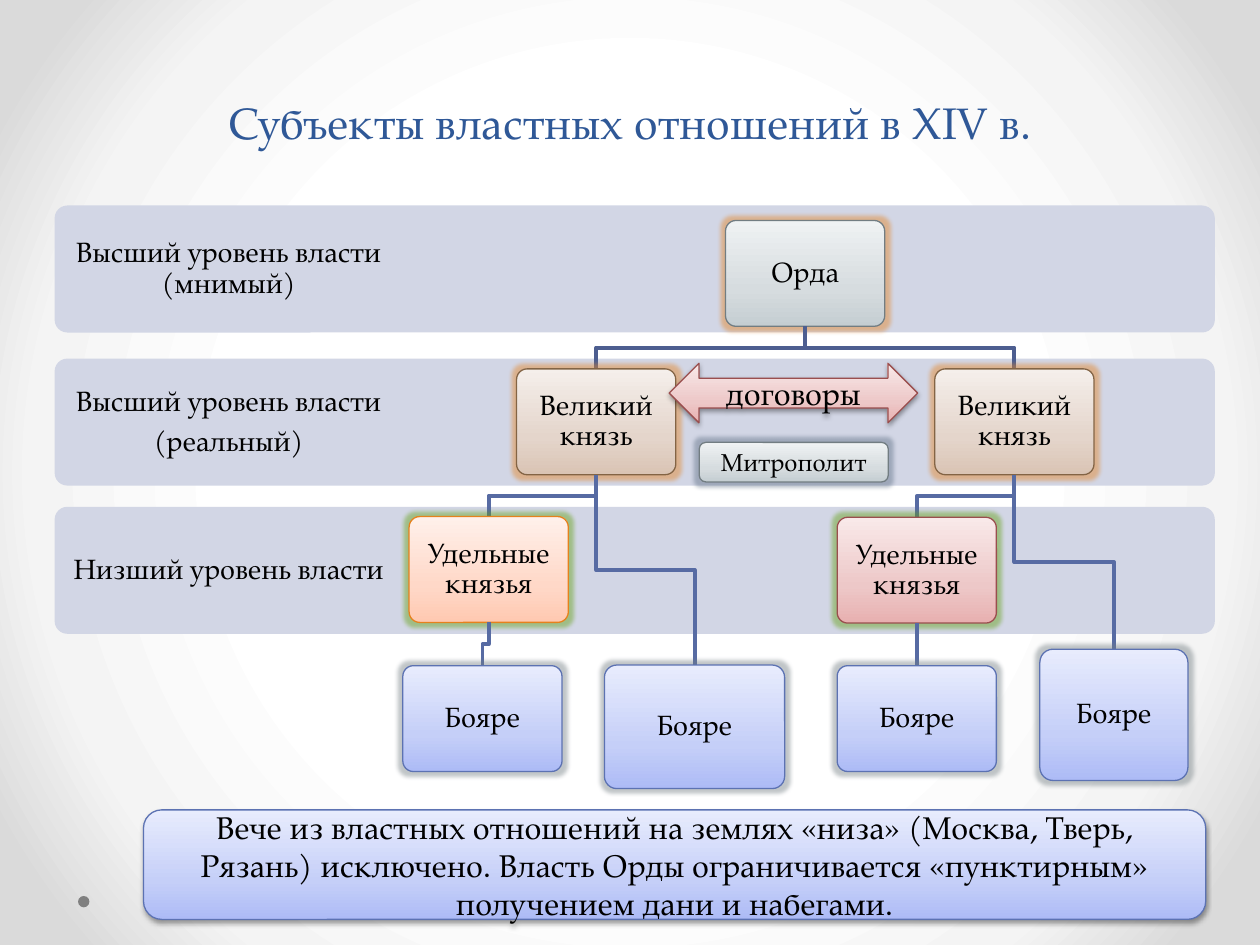
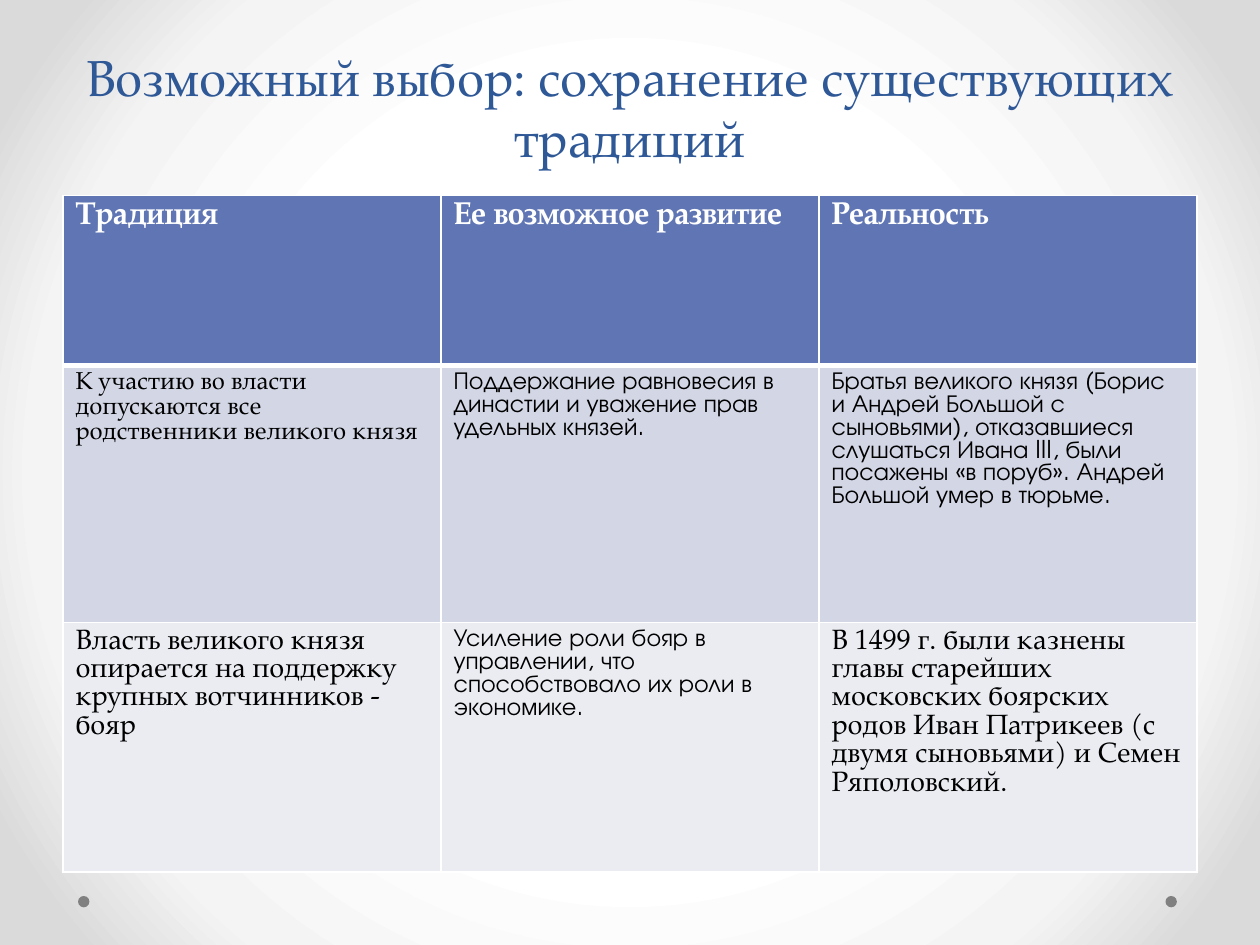
from dataclasses import dataclass
from typing import NamedTuple, Optional

from pptx import Presentation
from pptx.dml.color import RGBColor
from pptx.enum.shapes import MSO_CONNECTOR as Connector, MSO_SHAPE as Shape
from pptx.enum.text import MSO_ANCHOR as Anchor, MSO_AUTO_SIZE as AutoSize, PP_ALIGN as Align
from pptx.oxml import parse_xml
from pptx.oxml.ns import nsdecls, qn
from pptx.util import Pt

SERIF = "TeX Gyre Pagella"
SANS = "TeX Gyre Adventor"
BLACK, WHITE = "000000", "FFFFFF"
TITLE_BLUE, DOT_GREY, BAND = "2F5897", "808080", "D2D6E5"
HEADER_BLUE, ROW_LIGHT = "6076B4", "EAECF2"
TOP_LINK, LINK = "4D5E90", "576BA3"
LEFT_DOT, RIGHT_DOT = 44.6, 666


class Box(NamedTuple):
    left: float
    top: float
    width: float
    height: float

    def emu(self) -> list:
        return [Pt(v) for v in self]


class Look(NamedTuple):
    """Gradient from bottom to top, and the outline."""
    dark: str
    middle: str
    light: str
    line: str


GREY = Look("C5CED2", "D6DCDF", "EFF2F3", "727D82")
BROWN = Look("DAC4B4", "E4D5CB", "F5EFEB", "836445")
ORANGE = Look("FFC9B1", "FFD8C8", "FFF0EA", "E6811C")
RED = Look("E8B0B0", "EDC8C8", "F9E9E9", "9A4E4E")
BLUE = Look("ADBBF6", "C5CFF8", "E8ECFD", "5C72B2")

ORANGE_GLOW, GREEN_GLOW, GREY_GLOW, STEEL_GLOW = "E68422", "63A012", "758085", "5F7085"


@dataclass
class Node:
    text: str
    box: Box
    look: Look
    glow: str
    parent: Optional["Node"] = None
    link: str = LINK


class Band(NamedTuple):
    top: float
    lines: list


class CellText(NamedTuple):
    text: str
    size: float
    line_height: float
    font: str = SERIF


def rgb(value: str) -> RGBColor:
    return RGBColor.from_string(value)


def set_gradient(owner, stops: list, direction: str) -> None:
    """Replace the empty fill of a properties element by a gradient."""
    marks = "".join(f'<a:gs pos="{pos * 1000}"><a:srgbClr val="{c}"/></a:gs>' for pos, c in stops)
    xml = f'<a:gradFill {nsdecls("a")} rotWithShape="1"><a:gsLst>{marks}</a:gsLst>{direction}</a:gradFill>'
    owner.replace(owner.find(qn("a:noFill")), parse_xml(xml))


def add_effect(s, tag: str, attrs: str, color: str, alpha: int) -> None:
    xml = (f'<a:{tag} {nsdecls("a")} {attrs}><a:srgbClr val="{color}">'
           f'<a:alpha val="{alpha * 1000}"/></a:srgbClr></a:{tag}>')
    s._element.spPr.find(qn("a:effectLst")).append(parse_xml(xml))


def add_glow(s, color: str) -> None:
    add_effect(s, "glow", f'rad="{Pt(5)}"', color, 45)


def add_shadow(s) -> None:
    add_effect(s, "outerShdw", f'blurRad="{Pt(3.1)}" dist="{Pt(1.6)}" dir="5400000" rotWithShape="0"',
               BLACK, 38)


def write(p, text: str, size: float, color: str = BLACK, font: str = SERIF, bold: bool = False) -> None:
    r = p.add_run()
    r.text = text
    r.font.size, r.font.name, r.font.bold = Pt(size), font, bold
    r.font.color.rgb = rgb(color)


def write_centred(s, lines: list, size: float, inset: Optional[float] = None,
                  spacing: Optional[float] = None) -> None:
    tf = s.text_frame
    tf.word_wrap = True
    tf.vertical_anchor = Anchor.MIDDLE
    if inset is not None:
        tf.margin_left = tf.margin_right = tf.margin_top = tf.margin_bottom = Pt(inset)
    for i, line in enumerate(lines):
        p = tf.add_paragraph() if i else tf.paragraphs[0]
        p.alignment = Align.CENTER
        p.line_spacing = spacing
        if i < len(lines) - 1:
            p.space_after = Pt(5.6)
        write(p, line, size)


def add_plain(slide, kind, box: Box, color: str):
    s = slide.shapes.add_shape(kind, *box.emu())
    s.shadow.inherit = False
    s.fill.solid()
    s.fill.fore_color.rgb = rgb(color)
    s.line.fill.background()
    return s


def add_glossy(slide, kind, box: Box, look: Look):
    s = slide.shapes.add_shape(kind, *box.emu())
    s.shadow.inherit = False
    s.fill.background()
    stops = [(0, look.dark), (35, look.middle), (100, look.light)]
    set_gradient(s._element.spPr, stops, '<a:lin ang="16200000" scaled="0"/>')
    s.line.color.rgb = rgb(look.line)
    s.line.width = Pt(0.75)
    return s


def set_background(prs) -> None:
    master = prs.slide_master
    master.background.fill.background()
    set_gradient(master.element.find(".//" + qn("p:bgPr")),
                 [(50, WHITE), (76, "F4F4F4"), (92, "DADADA")],
                 '<a:path path="circle"><a:fillToRect l="50000" t="50000" r="50000" b="50000"/></a:path>')


def new_slide(prs, title: str, box: Box, size: float, dots: list, line_height: Optional[float] = None):
    slide = prs.slides.add_slide(prs.slide_layouts[5])
    for left in dots:
        add_plain(slide, Shape.OVAL, Box(left, 512, 6.5, 6.5), DOT_GREY)
    s = slide.shapes.title
    s.left, s.top, s.width, s.height = box.emu()
    tf = s.text_frame
    tf.auto_size = AutoSize.NONE
    tf.word_wrap = True
    tf.vertical_anchor = Anchor.BOTTOM
    p = tf.paragraphs[0]
    p.alignment = Align.CENTER
    if line_height:
        p.line_spacing = Pt(line_height)
    write(p, title, size, TITLE_BLUE)
    return slide


def add_band(slide, band: Band) -> None:
    s = add_plain(slide, Shape.ROUNDED_RECTANGLE, Box(31.2, band.top, 663, 72.6), BAND)
    s.adjustments[0] = 0.1
    label = slide.shapes.add_textbox(*Box(31.2, band.top, 198.9, 72.6).emu())
    write_centred(label, band.lines, 16, 8.5, 0.9)


def add_link(slide, parent: Box, child: Box, color: str) -> None:
    """Join the bottom centre of the parent to the top centre of the child."""
    x1, y1 = Pt(parent.left + parent.width / 2), Pt(parent.top + parent.height)
    x2, y2 = Pt(child.left + child.width / 2), Pt(child.top)
    if x1 == x2:
        s = slide.shapes.add_connector(Connector.STRAIGHT, x1, y1, x2, y2)
        s._element.spPr.append(parse_xml(f'<a:effectLst {nsdecls("a")}/>'))
    else:
        middle = (y1 + y2) // 2
        builder = slide.shapes.build_freeform(x1, y1)
        builder.add_line_segments([(x1, middle), (x2, middle), (x2, y2)], close=False)
        s = builder.convert_to_shape()
        s.shadow.inherit = False
        s.fill.background()
    s.line.color.rgb = rgb(color)
    s.line.width = Pt(2.25)


def add_node(slide, node: Node) -> None:
    if node.parent:
        add_link(slide, node.parent.box, node.box, node.link)
    s = add_glossy(slide, Shape.ROUNDED_RECTANGLE, node.box, node.look)
    s.adjustments[0] = 0.1
    add_glow(s, node.glow)
    write_centred(s, [node.text], 16, 5, 0.9)


def hierarchy() -> list:
    def standard(left: float, top: float) -> Box:
        return Box(left, top, 91, 60.5)

    horde = Node("Орда", standard(414.6, 126), GREY, ORANGE_GLOW)
    princes = [Node("Великий князь", standard(x, 210.8), BROWN, ORANGE_GLOW, horde, TOP_LINK)
               for x in (295.2, 534.2)]
    vassals = [Node("Удельные князья", standard(x, y), look, GREEN_GLOW, prince)
               for x, y, look, prince in ((233.8, 295.2, ORANGE, princes[0]),
                                          (478.4, 295.6, RED, princes[1]))]
    boyars = [Node("Бояре", box, BLUE, GREY_GLOW, parent)
              for box, parent in ((standard(230.2, 380.4), vassals[0]),
                                  (Box(345.4, 380, 103, 70.6), princes[0]),
                                  (standard(478.4, 380.4), vassals[1]),
                                  (Box(594.2, 371, 84.6, 75), princes[1]))]
    return [horde, *princes, *vassals, *boyars]


def build_power_slide(prs) -> None:
    slide = new_slide(prs, "Субъекты властных отношений в XIV в.", Box(36, 41.8, 648, 46.8), 25.2,
                      [LEFT_DOT], 58)
    for band in (Band(289.6, ["Низший уровень власти"]),
                 Band(204.9, ["Высший уровень власти", "(реальный)"]),
                 Band(117.4, ["Высший уровень власти (мнимый)"])):
        add_band(slide, band)
    for node in hierarchy():
        add_node(slide, node)

    s = add_glossy(slide, Shape.ROUNDED_RECTANGLE, Box(399.6, 252.8, 108, 22.6), GREY)
    add_glow(s, STEEL_GLOW)
    write_centred(s, ["Митрополит"], 14)
    s = add_glossy(slide, Shape.LEFT_RIGHT_ARROW, Box(382.4, 207.6, 142, 34), RED)
    add_shadow(s)
    write_centred(s, ["договоры"], 18)
    s = add_glossy(slide, Shape.ROUNDED_RECTANGLE, Box(82, 462.8, 607, 62.6), BLUE)
    add_shadow(s)
    write_centred(s, ["Вече из властных отношений на землях «низа» (Москва, Тверь, Рязань) исключено. "
                      "Власть Орды ограничивается «пунктирным» получением дани и набегами."], 18)


def style_cell(cell, fill: str, bottom: float, top: float) -> None:
    cell.fill.solid()
    cell.fill.fore_color.rgb = rgb(fill)
    tc_pr = cell._tc.get_or_add_tcPr()
    for i, (side, width) in enumerate((("L", 1), ("R", 1), ("T", top), ("B", bottom))):
        tc_pr.insert(i, parse_xml(
            f'<a:ln{side} {nsdecls("a")} w="{Pt(width)}"><a:solidFill>'
            f'<a:srgbClr val="{WHITE}"/></a:solidFill></a:ln{side}>'))


def build_choice_slide(prs) -> None:
    slide = new_slide(prs, "Возможный выбор: сохранение существующих традиций", Box(36, 31.7, 648, 67.7),
                      29, [LEFT_DOT, RIGHT_DOT])
    rows = [
        [CellText(t, 18, 17.5) for t in ("Традиция", "Ее возможное развитие", "Реальность")],
        [CellText("К участию во власти допускаются все родственники великого князя", 14, 14.3),
         CellText("Поддержание равновесия в династии и уважение прав удельных князей.", 14, 13, SANS),
         CellText("Братья великого князя (Борис и Андрей Большой с сыновьями), отказавшиеся слушаться "
                  "Ивана III, были посажены «в поруб». Андрей Большой умер в тюрьме.", 14, 13, SANS)],
        [CellText("Власть великого князя опирается на поддержку крупных вотчинников - бояр", 16, 16.2),
         CellText("Усиление роли бояр в управлении, что способствовало их роли в экономике.", 14, 13, SANS),
         CellText("В 1499 г. были казнены главы старейших московских боярских родов Иван Патрикеев "
                  "(с двумя сыновьями) и Семен Ряполовский.", 16, 16.2)],
    ]
    fills, heights = (HEADER_BLUE, BAND, ROW_LIGHT), (97.2, 146.8, 142.6)
    table = slide.shapes.add_table(3, 3, *Box(36, 111.6, 648, sum(heights)).emu()).table
    for i, row in enumerate(rows):
        table.rows[i].height = Pt(heights[i])
        header = i == 0
        for j, item in enumerate(row):
            cell = table.cell(i, j)
            style_cell(cell, fills[i], bottom=3 if header else 1, top=3 if i == 1 else 1)
            p = cell.text_frame.paragraphs[0]
            p.line_spacing = Pt(item.line_height)
            write(p, item.text, item.size, WHITE if header else BLACK, item.font, header)


def main() -> None:
    prs = Presentation()
    prs.slide_width, prs.slide_height = Pt(720), Pt(540)
    set_background(prs)
    build_power_slide(prs)
    build_choice_slide(prs)
    prs.save("out.pptx")


if __name__ == "__main__":
    main()
